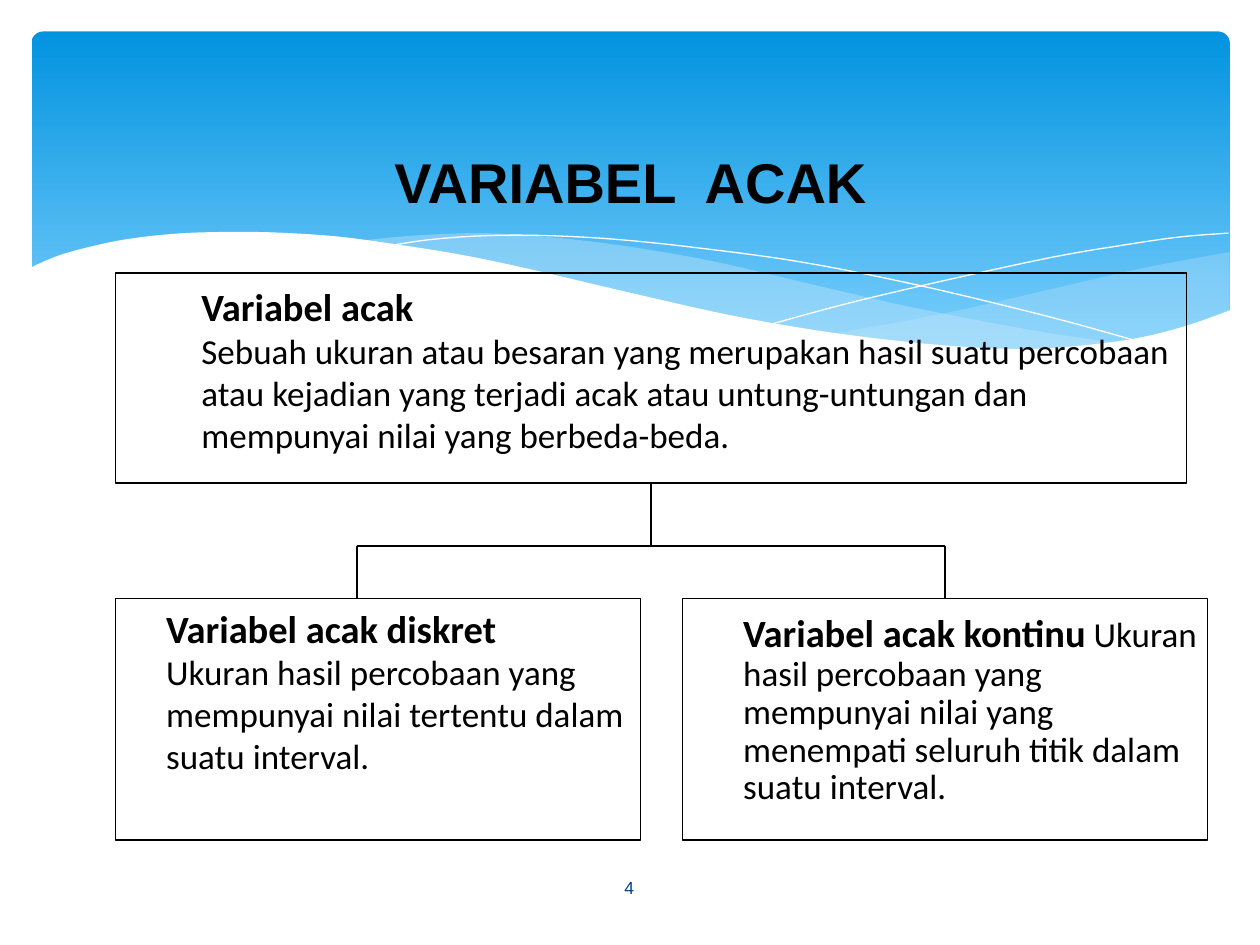
from pptx import Presentation
from pptx.dml.color import RGBColor
from pptx.enum.shapes import MSO_CONNECTOR, MSO_SHAPE
from pptx.enum.text import MSO_ANCHOR, MSO_AUTO_SIZE, PP_ALIGN
from pptx.util import Inches, Pt
from lxml.etree import SubElement
from pptx.oxml.ns import qn

BLACK = RGBColor(0, 0, 0)
WHITE = RGBColor(255, 255, 255)
NAVY = RGBColor(0x07, 0x3E, 0x87)
DEEP = RGBColor(0x02, 0x93, 0xE0)
SKY = RGBColor(0x83, 0xD3, 0xFE)
PALE = RGBColor(0xC6, 0xE7, 0xFC)
UNIT = Inches(1 / 12)
STEPS = 5


def bend(knots):
    ends = [knots[0], *knots, knots[-1]]
    curve = [knots[0]]
    for a, b, c, d in zip(ends, ends[1:], ends[2:], ends[3:]):
        for step in range(1, STEPS + 1):
            t = step / STEPS
            curve.append(tuple(
                b[i] + t * (c[i] - a[i]) / 2
                + t * t * (2 * a[i] - 5 * b[i] + 4 * c[i] - d[i]) / 2
                + t ** 3 * (3 * b[i] - a[i] - 3 * c[i] + d[i]) / 2
                for i in (0, 1)))
    return curve


def style(run, size, bold=False, color=BLACK, font="Calibri"):
    run.font.name = font
    run.font.size = Pt(size)
    run.font.bold = bold
    run.font.color.rgb = color


deck = Presentation()
deck.slide_width, deck.slide_height = Inches(10), Inches(7.5)
slide = deck.slides.add_slide(deck.slide_layouts[5])
shapes = slide.shapes

sky = shapes.add_shape(MSO_SHAPE.ROUNDED_RECTANGLE, Inches(0.25), Inches(0.25),
                       Inches(9.51), Inches(2.7))
sky.adjustments[0] = 0.034
sky.shadow.inherit = False
sky.line.fill.background()
sky.fill.gradient()
sky.fill.gradient_angle = 270
for stop, color in zip(sky.fill.gradient_stops, (DEEP, SKY)):
    stop.color.rgb = color

right = bend([(9.76, 2), (9.06, 2.13), (8.32, 2.3), (7.53, 2.48), (6.61, 2.65)]) + bend(
    [(6.61, 2.65), (7.05, 2.71), (7.57, 2.76), (8.03, 2.78), (8.54, 2.76),
     (8.97, 2.7), (9.35, 2.62), (9.76, 2.47)])
middle = bend(
    [(8.93, 2.73), (8.37, 2.65), (7.75, 2.54), (7.06, 2.4), (6.29, 2.22),
     (5.69, 2.08), (5.14, 1.98), (4.64, 1.91), (4.2, 1.87), (3.8, 1.85),
     (3.28, 1.87), (2.86, 1.91)]) + bend(
    [(2.86, 1.91), (3.42, 1.99), (4.04, 2.11), (4.49, 2.22), (5.3, 2.4),
     (6.01, 2.55), (6.65, 2.66), (7.22, 2.74), (7.73, 2.78), (8.18, 2.79),
     (8.57, 2.77), (8.93, 2.73)])
falling = bend(
    [(3.09, 1.95), (3.43, 1.9), (3.87, 1.87), (4.33, 1.87), (4.89, 1.9),
     (5.56, 1.97), (6.36, 2.08), (7.27, 2.26), (8.31, 2.51), (9.07, 2.72)])
rising = bend(
    [(6.13, 2.57), (6.72, 2.41), (7.48, 2.23), (8.36, 2.04), (8.95, 1.94),
     (9.37, 1.88), (9.75, 1.85)])
front = bend(
    [(9.77, 2.46), (9.4, 2.59), (8.99, 2.69), (8.5, 2.75), (8.09, 2.77),
     (7.61, 2.75), (7.08, 2.7), (6.47, 2.62), (5.79, 2.5), (5.03, 2.33),
     (4.18, 2.13), (3.65, 2.02), (3.15, 1.94), (2.71, 1.88), (2.3, 1.85),
     (1.93, 1.84), (1.46, 1.85), (1.06, 1.89), (0.75, 1.95), (0.46, 2.03),
     (0.23, 2.13)]) + [(0.23, 3.29), (9.77, 3.29)]

for points, color, alpha in (
    (right, PALE, 29), (middle, PALE, 40), (falling, None, 0),
    (rising, None, 0), (front, WHITE, 100),
):
    spots = [(Inches(x), Inches(y)) for x, y in points]
    maker = shapes.build_freeform(*spots[0])
    maker.add_line_segments(spots[1:], close=color is not None)
    wave = maker.convert_to_shape()
    wave.shadow.inherit = False
    if color is None:
        wave.fill.background()
        wave.line.color.rgb = WHITE
        wave.line.width = Pt(0)
    else:
        wave.line.fill.background()
        wave.fill.solid()
        wave.fill.fore_color.rgb = color
        if alpha < 100:
            tone = wave.element.spPr.find(qn("a:solidFill"))[0]
            SubElement(tone, qn("a:alpha"), val=str(alpha * 1000))

page = shapes.add_textbox(Inches(4.36), Inches(6.84), Inches(1.27), Inches(0.4))
page.text_frame.word_wrap = True
page.text_frame.vertical_anchor = MSO_ANCHOR.MIDDLE
page.text_frame.text = "4"
para = page.text_frame.paragraphs[0]
para.alignment = PP_ALIGN.CENTER
style(para.runs[0], 10, color=NAVY, font="Arial")

for left, top, width, height, indent, space, paras in (
    (0.92, 4.75, 4.25, 2, 0.3, 1, (
        (("Variabel acak diskret", 22, True),),
        (("Ukuran hasil percobaan yang mempunyai nilai tertentu dalam "
          "suatu interval.", 20, False),))),
    (5.5, 4.83, 4.17, 2.04, 0.3, 0.9, (
        (("Variabel acak kontinu", 22, True),
         (" Ukuran hasil percobaan yang mempunyai nilai yang menempati "
          "seluruh titik dalam suatu interval.", 20, False)),)),
    (1, 2.2, 8.42, 1.47, 0.5, 1, (
        (("Variabel acak", 22, True),),
        (("Sebuah ukuran atau besaran yang merupakan hasil suatu percobaan "
          "atau kejadian yang terjadi acak atau untung-untungan dan "
          "mempunyai nilai yang berbeda-beda.", 20, False),))),
):
    note = shapes.add_textbox(Inches(left), Inches(top), Inches(width), Inches(height))
    frame = note.text_frame
    frame.word_wrap = True
    for i, parts in enumerate(paras):
        para = frame.add_paragraph() if i else frame.paragraphs[0]
        para.line_spacing = space
        para._p.get_or_add_pPr().set("marL", str(Inches(indent)))
        for text, size, bold in parts:
            run = para.add_run()
            run.text = text
            style(run, size, bold)

title = shapes.title
title.left, title.top = Inches(0.92), Inches(1.08)
title.width, title.height = Inches(8.17), Inches(0.64)
frame = title.text_frame
frame.text = "VARIABEL  ACAK"
frame.auto_size = MSO_AUTO_SIZE.NONE
frame.vertical_anchor = MSO_ANCHOR.TOP
frame.margin_top = Inches(0.09)
frame.paragraphs[0].alignment = PP_ALIGN.CENTER
style(frame.paragraphs[0].runs[0], 32, True, font="Arial")
title.element.getparent().append(title.element)

boxes = []
for cell in ((11, 26, 102, 20), (11, 57, 50, 23), (65, 57, 50, 23)):
    box = shapes.add_shape(MSO_SHAPE.RECTANGLE, *(n * UNIT for n in cell))
    box.shadow.inherit = False
    box.fill.background()
    box.line.color.rgb = BLACK
    box.line.width = Pt(0.75)
    boxes.append(box)

links = []
for ends in ((62, 46, 62, 52), (34, 52, 90, 52), (34, 52, 34, 57), (90, 52, 90, 57)):
    link = shapes.add_connector(MSO_CONNECTOR.STRAIGHT, *(n * UNIT for n in ends))
    link.line.color.rgb = BLACK
    link.line.width = Pt(0.75)
    SubElement(link.element.spPr, qn("a:effectLst"))
    links.append(link)
links[0].begin_connect(boxes[0], 2)
links[3].end_connect(boxes[2], 0)

deck.save("out.pptx")
